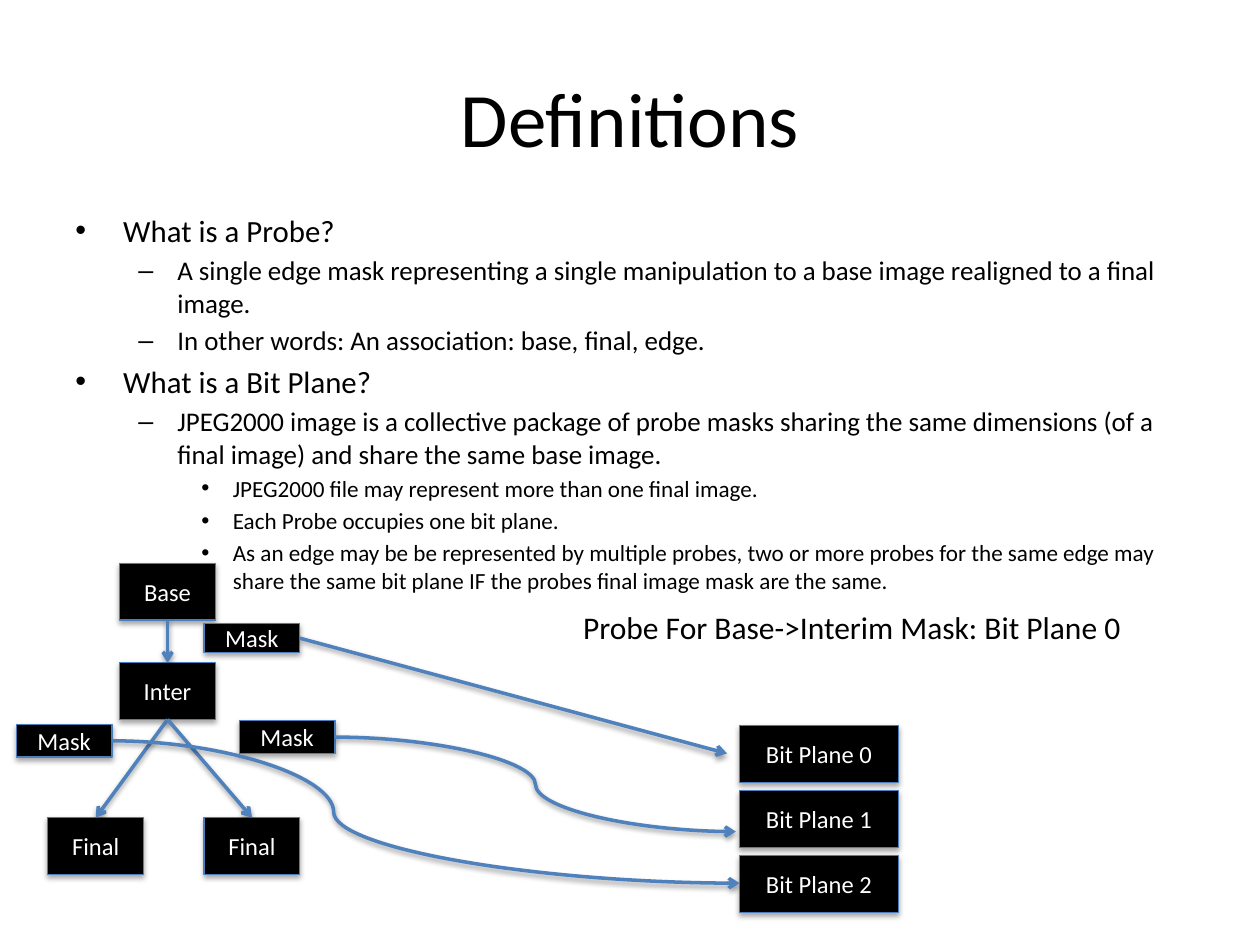
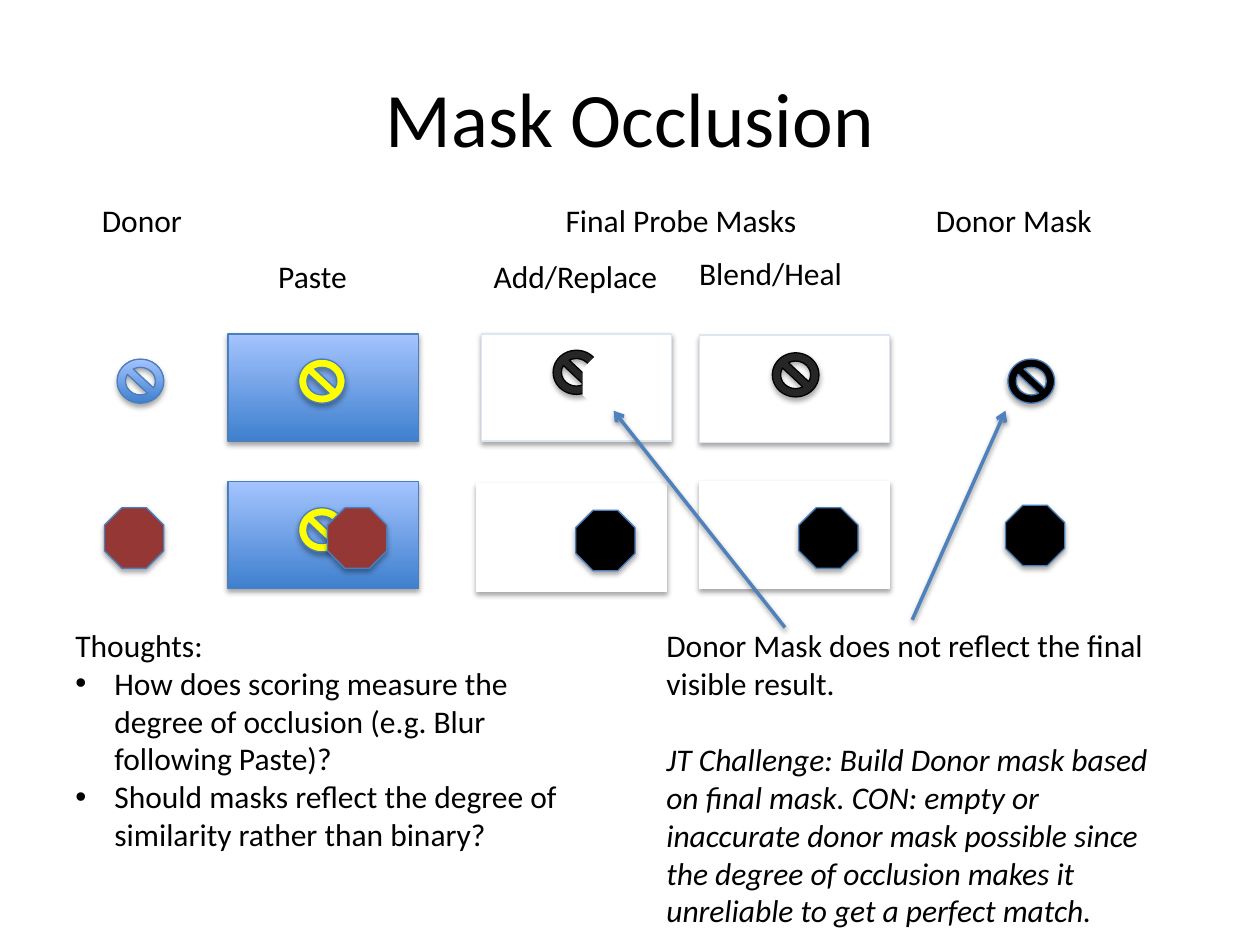
from lxml import etree
from pptx import Presentation
from pptx.dml.color import RGBColor
from pptx.enum.shapes import MSO_CONNECTOR, MSO_SHAPE
from pptx.enum.text import MSO_ANCHOR, MSO_AUTO_SIZE, PP_ALIGN
from pptx.oxml.ns import qn
from pptx.util import Inches, Pt

STRAIGHT, CURVE = MSO_CONNECTOR.STRAIGHT, MSO_CONNECTOR.CURVE
RECT, BAN, OCTAGON = MSO_SHAPE.RECTANGLE, MSO_SHAPE.NO_SYMBOL, MSO_SHAPE.OCTAGON
TOP, LEFT, BOTTOM, RIGHT = range(4)

FONT = "Calibri"
COLORS = {
    "black": "000000", "white": "FFFFFF", "edge": "4B7EBC", "arrow": "4F81BD",
    "pale": "DCE6F2", "charcoal": "262626", "yellow": "FFFF00", "red": "953735",
    "grad_bottom": "3F80CE", "grad_top": "A4C4FF",
}
# opacity %, offset in points
SHAPE_SHADOW, LINE_SHADOW = (35, 1.8), (38, 1.6)

# Slide 1: (level, text)
DEFINITIONS = [
    (0, "What is a Probe?"),
    (1, "A single edge mask representing a single manipulation to a base image "
        "realigned to a final image."),
    (1, "In other words: An association: base, final, edge."),
    (0, "What is a Bit Plane?"),
    (1, "JPEG2000 image is a collective package of probe masks sharing the same "
        "dimensions (of a final image) and share the same base image."),
    (2, "JPEG2000 file may represent more than one final image."),
    (2, "Each Probe occupies one bit plane."),
    (2, "As an edge may be be represented by multiple probes, two or more probes for "
        "the same edge may share the same bit plane IF the probes final image mask "
        "are the same."),
]
# size, text indent, hanging, bullet for each level
LEVELS = [(17.6, 0.38, 0.38, "•"), (15.4, 0.81, 0.31, "–"), (13.2, 1.25, 0.25, "•")]
PROBE_NOTE = "Probe For Base->Interim Mask: Bit Plane 0"

# key: (label, left, top, width, height)
NODES = {
    "base": ("Base", 0.95, 4.47, 0.76, 0.45),
    "inter": ("Inter", 0.95, 5.26, 0.76, 0.45),
    "final_left": ("Final", 0.38, 6.49, 0.76, 0.45),
    "final_right": ("Final", 1.62, 6.49, 0.76, 0.45),
    "mask_inter": ("Mask", 1.62, 4.95, 0.76, 0.23),
    "mask_left": ("Mask", 0.13, 5.75, 0.76, 0.26),
    "mask_right": ("Mask", 1.9, 5.72, 0.76, 0.26),
    **{f"plane{i}": (f"Bit Plane {i}", 5.87, 5.76 + 0.515 * i, 1.26, 0.45)
       for i in range(3)},
}
LINKS = [("base", "inter"), ("inter", "final_left"), ("inter", "final_right")]
# start, end, position of the bend
CURVES = [((0.89, 5.88), (5.87, 7.01), 0.353), ((2.66, 5.85), (5.84, 6.6), 0.5)]

# Slide 2
LABELS = [
    ("Donor", 0.71, 1.55, 0.85), ("Final Probe Masks", 4.39, 1.55, 2.06),
    ("Donor Mask", 7.33, 1.55, 1.45), ("Paste", 2.11, 1.99, 0.76),
    ("Add/Replace", 3.82, 1.99, 1.52), ("Blend/Heal", 5.45, 1.97, 1.35),
]
SIZES = {RECT: (1.51, 0.85), BAN: (0.37, 0.35), OCTAGON: (0.47, 0.48)}
# shape, left, top, fill, line, shadow
FIGURES = [
    # pasted images
    (RECT, 1.81, 2.65, "gradient", "edge", True),
    (BAN, 2.37, 2.85, "yellow", "edge", True),
    (RECT, 1.81, 3.82, "gradient", "edge", True),
    (BAN, 2.37, 4.03, "yellow", "edge", True),
    (OCTAGON, 2.6, 4.03, "red", "edge", True),
    # donors
    (BAN, 0.93, 2.85, "gradient", "edge", True),
    (OCTAGON, 0.83, 4.03, "red", "edge", True),
    # add/replace masks, the first partly hidden by a white octagon
    (RECT, 3.82, 2.65, "white", "pale", True),
    (BAN, 4.39, 2.78, "charcoal", "black", True),
    (OCTAGON, 4.63, 2.79, "white", "white", False),
    (RECT, 3.78, 3.84, "white", "white", True),
    (OCTAGON, 4.57, 4.05, "black", "edge", True),
    # donor masks
    (BAN, 8, 2.85, "black", "edge", True),
    (OCTAGON, 7.98, 4.01, "black", "edge", True),
    # blend/heal masks
    (RECT, 5.55, 2.66, "white", "pale", True),
    (BAN, 6.13, 2.8, "charcoal", "black", True),
    (RECT, 5.55, 3.82, "white", "white", True),
    (OCTAGON, 6.34, 4.03, "black", "edge", True),
]
THOUGHTS = [
    "Thoughts:",
    "How does scoring measure the degree of occlusion (e.g. Blur following Paste)?",
    "Should masks reflect the degree of similarity rather than binary?",
]
CHALLENGE = [
    "Donor Mask does not reflect the final visible result.",
    "JT Challenge: Build Donor mask based on final mask. CON: empty or inaccurate "
    "donor mask possible since the degree of occlusion makes it unreliable to get a "
    "perfect match.",
]
POINTERS = [((7.24, 4.92), (7.98, 3.26)), ((6.23, 4.98), (4.87, 3.26))]


def rgb(name):
    return RGBColor.from_string(COLORS[name])


def inches(*values):
    return [Inches(v) for v in values]


def set_effects(shape, shadow=None):
    """Replace the theme shadow by a soft one straight below, or by none."""
    effects = etree.SubElement(shape._element.spPr, qn("a:effectLst"))
    if shadow:
        opacity, distance = shadow
        outer = etree.SubElement(effects, qn("a:outerShdw"), blurRad=str(Pt(3.1)),
                                 dist=str(Pt(distance)), dir="5400000", rotWithShape="0")
        color = etree.SubElement(outer, qn("a:srgbClr"), val=COLORS["black"])
        etree.SubElement(color, qn("a:alpha"), val=str(opacity * 1000))


def style_text(p, size, color="black", italic=None):
    for r in p.runs:
        r.font.name = FONT
        r.font.size = Pt(size)
        r.font.italic = italic
        r.font.color.rgb = rgb(color)


def add_bullet(p, char, indent, hanging):
    pPr = p._p.get_or_add_pPr()
    pPr.set("marL", str(Inches(indent)))
    pPr.set("indent", str(-Inches(hanging)))
    etree.SubElement(pPr, qn("a:buFont"), typeface="Arial")
    etree.SubElement(pPr, qn("a:buChar"), char=char)


def add_text(s, lines, box, size=18, wrap=True, grow=True):
    """Add a text box with one paragraph a line and return its paragraphs."""
    tf = s.shapes.add_textbox(*inches(*box)).text_frame
    tf.word_wrap = wrap
    tf.auto_size = MSO_AUTO_SIZE.SHAPE_TO_FIT_TEXT if grow else MSO_AUTO_SIZE.NONE
    tf.text = "\n".join(lines)
    for p in tf.paragraphs:
        style_text(p, size)
    return tf.paragraphs


def add_figure(s, kind, box, fill, line, shadow=True):
    sp = s.shapes.add_shape(kind, *inches(*box))
    if fill == "gradient":
        sp.fill.gradient()
        sp.fill.gradient_angle = 90
        for stop, name in zip(sp.fill.gradient_stops, ("grad_bottom", "grad_top")):
            stop.color.rgb = rgb(name)
    else:
        sp.fill.solid()
        sp.fill.fore_color.rgb = rgb(fill)
    sp.line.color.rgb = rgb(line)
    sp.line.width = Pt(0.75)
    set_effects(sp, SHAPE_SHADOW if shadow else None)
    return sp


def add_arrow(s, start, end, kind=STRAIGHT, bend=None):
    c = s.shapes.add_connector(kind, *inches(*start, *end))
    c.line.color.rgb = rgb("arrow")
    c.line.width = Pt(2)
    etree.SubElement(c.line._get_or_add_ln(), qn("a:tailEnd"), type="arrow")
    if bend is not None:
        guides = c._element.spPr.find(qn("a:prstGeom")).find(qn("a:avLst"))
        etree.SubElement(guides, qn("a:gd"), name="adj1", fmla=f"val {round(bend * 100000)}")
    set_effects(c, LINE_SHADOW)
    return c


def add_slide(prs, title):
    s = prs.slides.add_slide(prs.slide_layouts[5])
    sp = s.shapes.title
    sp.left, sp.top, sp.width, sp.height = inches(0.5, 0.3, 9, 1.25)
    tf = sp.text_frame
    tf.text = title
    tf.vertical_anchor = MSO_ANCHOR.MIDDLE
    tf.paragraphs[0].alignment = PP_ALIGN.CENTER
    style_text(tf.paragraphs[0], 44)
    return s


def build_definitions(prs):
    s = add_slide(prs, "Definitions")
    paragraphs = add_text(s, [text for _, text in DEFINITIONS], (0.5, 1.63, 9, 2.84), grow=False)
    for p, (level, _) in zip(paragraphs, DEFINITIONS):
        size, indent, hanging, char = LEVELS[level]
        p.level = level
        p.space_before = Pt(round(size * 0.2, 1))
        style_text(p, size)
        add_bullet(p, char, indent, hanging)

    nodes = {}
    for key, (label, *box) in NODES.items():
        sp = nodes[key] = add_figure(s, RECT, box, "black", "edge")
        tf = sp.text_frame
        tf.text = label
        tf.vertical_anchor = MSO_ANCHOR.MIDDLE
        tf.paragraphs[0].alignment = PP_ALIGN.CENTER
        style_text(tf.paragraphs[0], 14, "white")
    add_text(s, [PROBE_NOTE], (4.53, 4.78, 4.84, 0.4))

    for upper, lower in LINKS:
        c = add_arrow(s, (0, 0), (0, 0))
        c.begin_connect(nodes[upper], BOTTOM)
        c.end_connect(nodes[lower], TOP)
    add_arrow(s, (2.38, 5.06), (5.77, 5.98)).begin_connect(nodes["mask_inter"], RIGHT)
    for start, end, bend in CURVES:
        add_arrow(s, start, end, CURVE, bend)


def build_occlusion(prs):
    s = add_slide(prs, "Mask Occlusion")
    for kind, left, top, fill, line, shadow in FIGURES:
        add_figure(s, kind, (left, top, *SIZES[kind]), fill, line, shadow)
    for text, left, top, width in LABELS:
        add_text(s, [text], (left, top, width, 0.4), wrap=False)

    challenge = add_text(s, CHALLENGE, (5.19, 4.92, 4.09, 2.83))[1]
    challenge.space_before = Pt(22)
    style_text(challenge, 18, italic=True)
    for p in add_text(s, THOUGHTS, (0.5, 4.92, 4.04, 2.83))[1:]:
        add_bullet(p, "•", 0.31, 0.31)
    for start, end in POINTERS:
        add_arrow(s, start, end)


def main():
    prs = Presentation()
    prs.slide_width, prs.slide_height = inches(10, 7.5)
    build_definitions(prs)
    build_occlusion(prs)
    prs.save("out.pptx")


if __name__ == "__main__":
    main()
